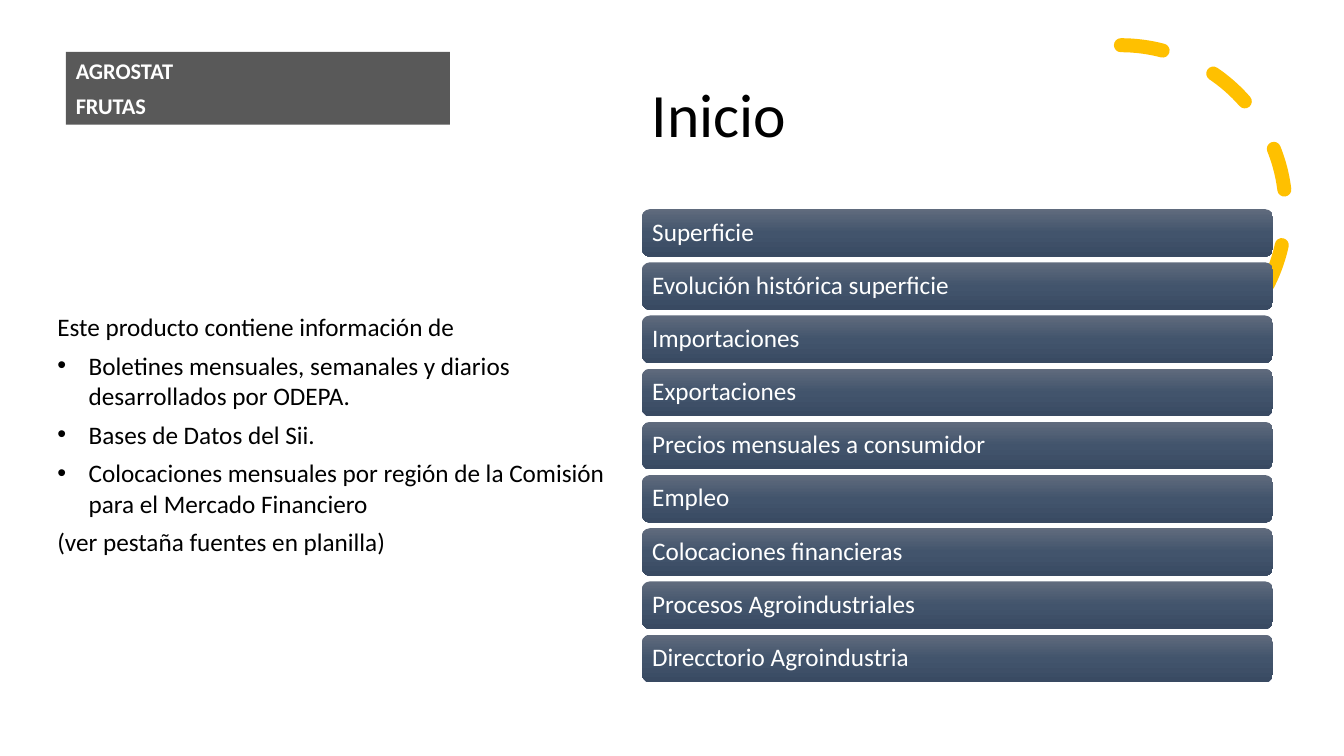
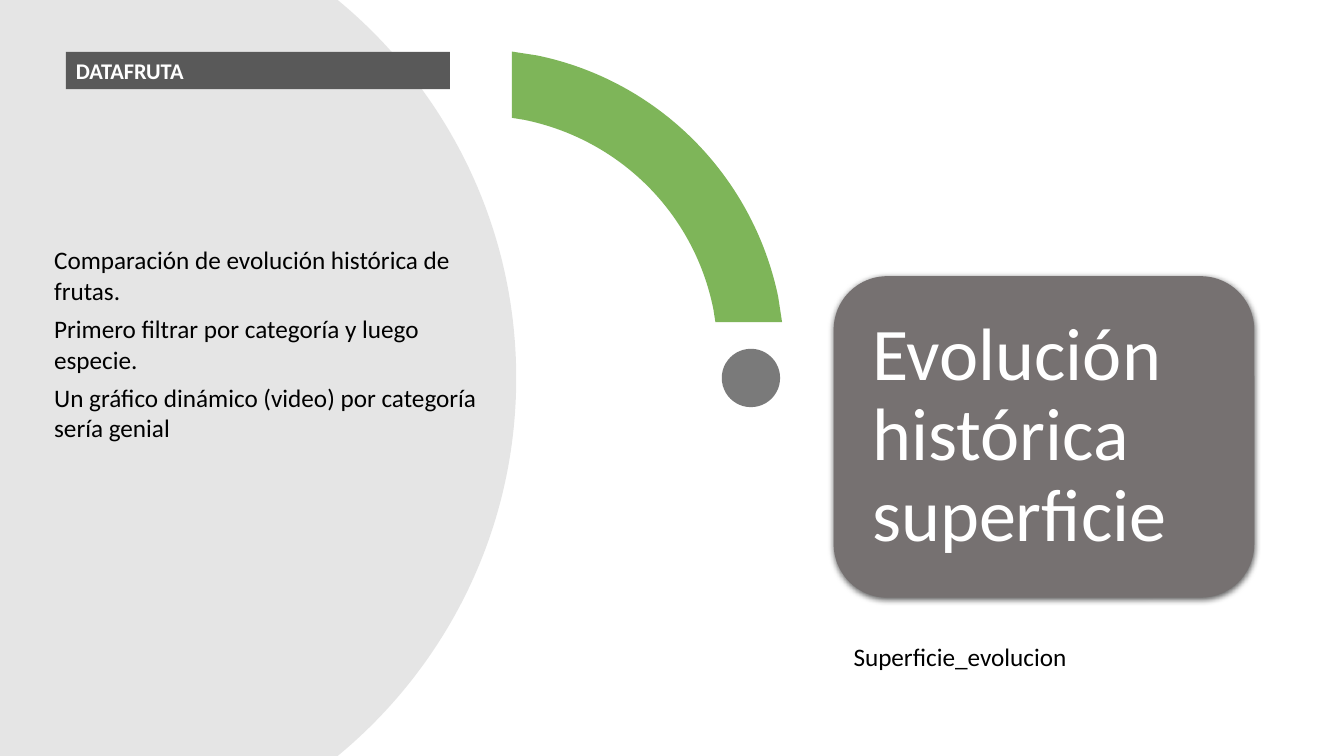
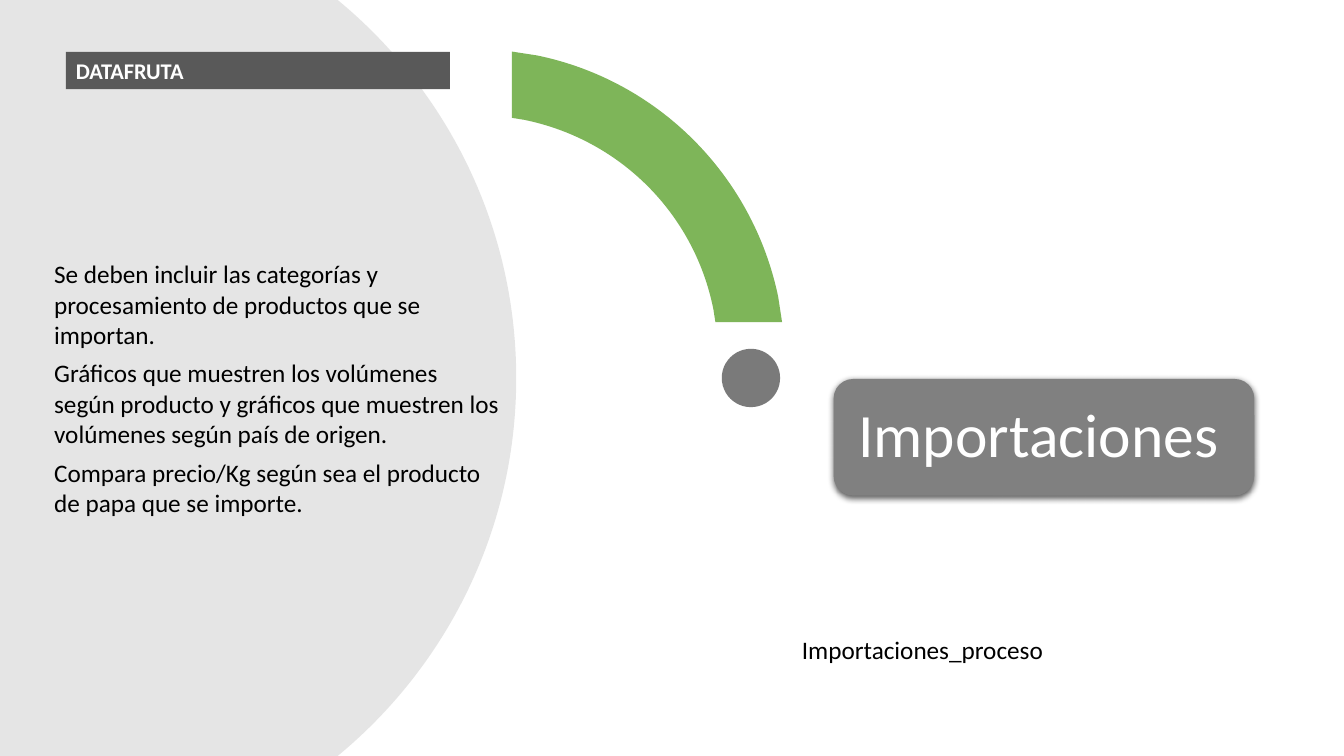
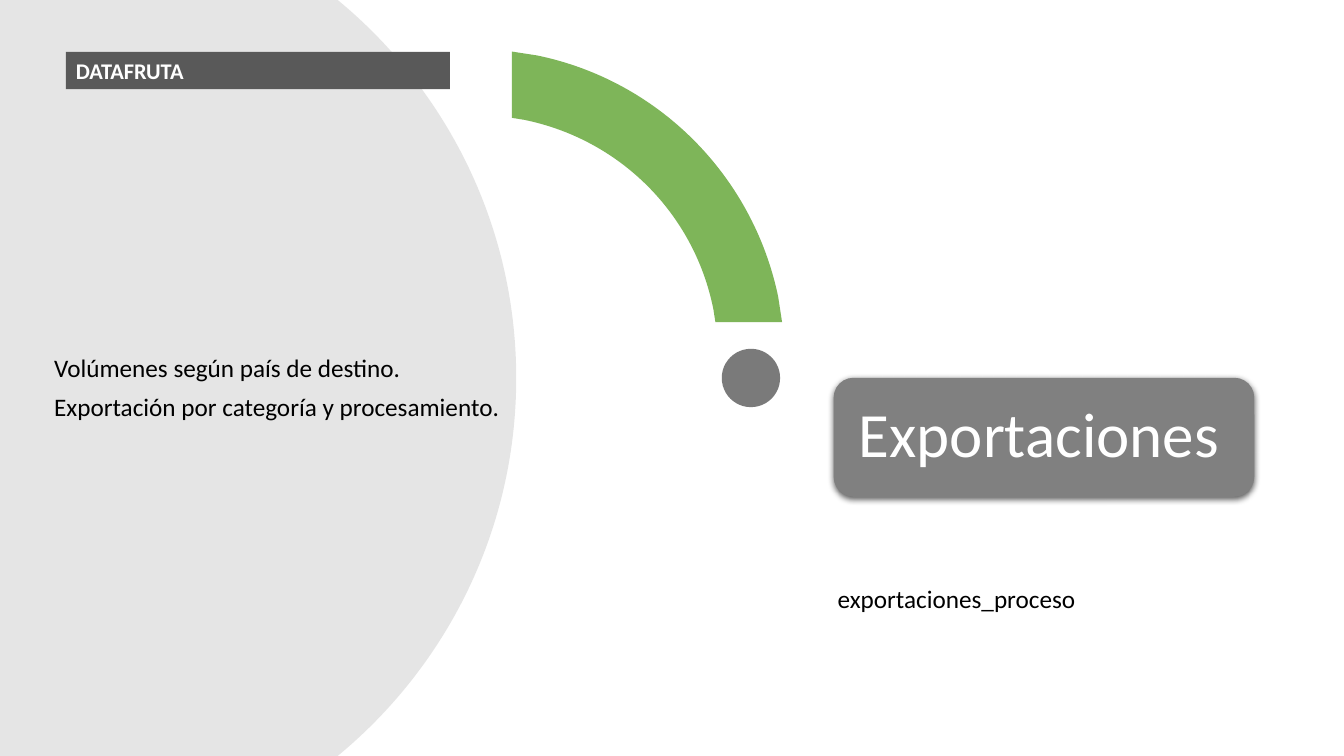
"""Build the four-slide fruit statistics deck: a menu and three section pages."""
from dataclasses import dataclass

from lxml.etree import SubElement
from pptx import Presentation
from pptx.dml.color import RGBColor
from pptx.enum.dml import MSO_LINE
from pptx.enum.shapes import MSO_SHAPE
from pptx.enum.text import MSO_ANCHOR, MSO_AUTO_SIZE, PP_ALIGN
from pptx.oxml import parse_xml
from pptx.oxml.ns import nsdecls, qn
from pptx.util import Cm, Pt

ARC, ELLIPSE = MSO_SHAPE.ARC, MSO_SHAPE.OVAL
RECTANGLE, ROUNDED = MSO_SHAPE.RECTANGLE, MSO_SHAPE.ROUNDED_RECTANGLE
TOP, MIDDLE = MSO_ANCHOR.TOP, MSO_ANCHOR.MIDDLE
LEFT, NO_AUTOFIT = PP_ALIGN.LEFT, MSO_AUTO_SIZE.NONE
DASH = MSO_LINE.DASH


@dataclass(frozen=True)
class Theme:
    font: str = "Calibri"
    text: str = "000000"
    light: str = "FFFFFF"
    dark: str = "595959"
    disc: str = "808080"
    ring: str = "70AD47"
    accent: str = "FFC000"
    bar: tuple = ((0, "606B7D"), (50, "42546C"), (100, "394A62"))
    title_size: int = 44
    body_size: int = 18
    tag_size: int = 16
    after: int = 6


THEME = Theme()

MENU = {
    "tag": ["AGROSTAT", "FRUTAS"],
    "title": "Inicio",
    "body": [
        ("", "Este producto contiene información de"),
        ("•", "Boletines mensuales, semanales y diarios desarrollados por ODEPA."),
        ("•", "Bases de Datos del Sii."),
        ("•", "Colocaciones mensuales por región de la Comisión para el Mercado Financiero"),
        ("", "(ver pestaña fuentes en planilla)"),
    ],
    "entries": [
        "Superficie",
        "Evolución histórica superficie",
        "Importaciones",
        "Exportaciones",
        "Precios mensuales a consumidor",
        "Empleo",
        "Colocaciones financieras",
        "Procesos Agroindustriales",
        "Direcctorio Agroindustria",
    ],
}

SECTION_TAG = ["DATAFRUTA"]
SECTIONS = [
    {
        "title": "Evolución histórica superficie",
        "card": {"top": 6.96, "height": 8.1, "inset": 0.97, "size": 53, "color": "767171"},
        "body": [
            ("", "Comparación de evolución histórica de frutas."),
            ("", "Primero filtrar por categoría y luego especie."),
            ("", "Un gráfico dinámico (video) por categoría sería genial"),
        ],
        "body_box": (1.11, 6.04, 11.79, 6.27),
        "source": "Superficie_evolucion",
        "source_at": (21.26, 16.04),
    },
    {
        "title": "Importaciones",
        "card": {"top": 9.55, "height": 2.94, "inset": 0.62, "size": 44, "color": "808080"},
        "body": [
            ("", "Se deben incluir las categorías y procesamiento de productos que se importan."),
            ("", "Gráficos que muestren los volúmenes según producto y gráficos que "
                 "muestren los volúmenes según país de origen."),
            ("", "Compara precio/Kg según sea el producto de papa que se importe."),
        ],
        "body_box": (1.11, 6.39, 11.79, 6.83),
        "source": "Importaciones_proceso",
        "source_at": (19.96, 15.85),
    },
    {
        "title": "Exportaciones",
        "card": {"top": 9.52, "height": 3, "inset": 0.63, "size": 45, "color": "808080"},
        "body": [
            ("", "Volúmenes según país de destino."),
            ("", "Exportación por categoría y procesamiento."),
        ],
        "body_box": (1.11, 8.75, 11.79, 3),
        "source": "exportaciones_proceso",
        "source_at": (20.86, 14.58),
    },
]

DISC = {
    "points": [(0, 0), (8.51, 0), (11.25, 2.26), (13.01, 5.69), (13.01, 9.53),
               (13.01, 13.36), (11.25, 16.79), (8.51, 19.05), (0, 19.05)],
    "curves": (2, 5),
}
RING = {
    "points": [(12.9, 1.3), (13.54, 1.4), (16.59, 2.03), (18.97, 4.42), (19.61, 7.47),
               (19.71, 8.12), (18.03, 8.12), (17.98, 7.8), (17.5, 5.38), (15.62, 3.51),
               (13.21, 3.02), (12.9, 2.97)],
    "curves": (2, 8),
}


def rgb(color):
    return RGBColor.from_string(color)


def place(shape, left, top, width, height):
    shape.left, shape.top = Cm(left), Cm(top)
    shape.width, shape.height = Cm(width), Cm(height)


def paint(shape, color, opacity=100):
    shape.shadow.inherit = False
    shape.line.fill.background()
    shape.fill.solid()
    shape.fill.fore_color.rgb = rgb(color)
    if opacity < 100:
        tint = next(shape.element.iter(qn("a:srgbClr")))
        SubElement(tint, qn("a:alpha")).set("val", str(opacity * 1000))


def write(shape, items, size, color=THEME.text, bold=False, after=0, spacing=1,
          anchor=TOP, inset=None):
    frame = shape.text_frame
    frame.word_wrap, frame.auto_size = True, NO_AUTOFIT
    frame.vertical_anchor = anchor
    if inset is not None:
        frame.margin_left = frame.margin_right = Cm(inset)
    for index, (bullet, text) in enumerate(items):
        paragraph = frame.add_paragraph() if index else frame.paragraphs[0]
        paragraph.text = text
        properties = paragraph._p.get_or_add_pPr()
        hang = Cm(0.79) if bullet else 0
        properties.set("marL", str(hang))
        properties.set("indent", str(-hang))
        if bullet:
            SubElement(properties, qn("a:buChar")).set("char", bullet)
        else:
            SubElement(properties, qn("a:buNone"))
        paragraph.alignment = LEFT
        paragraph.line_spacing = spacing
        paragraph.space_before, paragraph.space_after = Pt(0), Pt(after)
        paragraph.font.name, paragraph.font.size = THEME.font, Pt(size)
        paragraph.font.bold, paragraph.font.color.rgb = bold, rgb(color)


def add_preset(slide, kind, left, top, width, height):
    return slide.shapes.add_shape(kind, Cm(left), Cm(top), Cm(width), Cm(height))


def add_outline(slide, outline, color, opacity):
    corners = [(Cm(x), Cm(y)) for x, y in outline["points"]]
    builder = slide.shapes.build_freeform(*corners[0])
    builder.add_line_segments(corners[1:])
    shape = builder.convert_to_shape()
    segments = list(shape.element.iter(qn("a:lnTo")))
    for first in outline["curves"]:
        bend = segments[first - 1:first + 2]
        curve = parse_xml(f'<a:cubicBezTo {nsdecls("a")}/>')
        bend[0].addprevious(curve)
        for segment in bend:
            curve.append(segment[0])
            segment.getparent().remove(segment)
    paint(shape, color, opacity)


def add_tag(slide, lines):
    tag = add_preset(slide, RECTANGLE, 1.66, 1.31, 9.68, 0.94 + 0.89 * (len(lines) - 1))
    paint(tag, THEME.dark)
    write(tag, [("", line) for line in lines], THEME.tag_size, THEME.light,
          bold=True, after=THEME.after)


def add_body(slide, items, box):
    body = slide.placeholders[1]
    place(body, *box)
    write(body, items, THEME.body_size, after=THEME.after)
    body.element.getparent().append(body.element)


def add_dashed_arc(slide):
    arc = add_preset(slide, ARC, 24.1, 1.14, 8.3, 8.3)
    arc.adjustments[0], arc.adjustments[1] = 162, 25.64
    arc.shadow.inherit = False
    arc.fill.background()
    arc.line.color.rgb = rgb(THEME.accent)
    arc.line.width, arc.line.dash_style = Pt(10), DASH
    next(arc.element.iter(qn("a:ln"))).set("cap", "rnd")


def add_entries(slide, entries):
    height, gap = 1.2, 0.14
    stops = "".join(f'<a:gs pos="{position * 1000}"><a:srgbClr val="{color}"/></a:gs>'
                    for position, color in THEME.bar)
    for index, entry in enumerate(entries):
        bar = add_preset(slide, ROUNDED, 16.18, 5.27 + index * (height + gap), 15.9, height)
        paint(bar, THEME.dark)
        solid = next(bar.element.iter(qn("a:solidFill")))
        solid.getparent().replace(solid, parse_xml(
            f'<a:gradFill {nsdecls("a")} rotWithShape="1"><a:gsLst>{stops}</a:gsLst>'
            '<a:lin ang="5400000" scaled="0"/></a:gradFill>'))
        write(bar, [("", entry)], THEME.body_size, THEME.light, spacing=0.9,
              anchor=MIDDLE, inset=0.2)


def add_card(slide, title, card):
    box = (21.01, card["top"], 10.6, card["height"])
    panel = add_preset(slide, ROUNDED, *box)
    paint(panel, card["color"])
    panel.element.spPr.find(qn("a:effectLst")).append(parse_xml(
        f'<a:outerShdw {nsdecls("a")} blurRad="{Pt(4.5)}" dist="{Pt(1.5)}" dir="5400000" '
        'algn="ctr" rotWithShape="0"><a:srgbClr val="000000"><a:alpha val="63000"/>'
        '</a:srgbClr></a:outerShdw>'))
    heading = slide.shapes.title
    place(heading, *box)
    write(heading, [("", title)], card["size"], THEME.light, spacing=0.9,
          anchor=MIDDLE, inset=card["inset"])
    heading.element.getparent().append(heading.element)


def build_menu(slide):
    add_dashed_arc(slide)
    place(slide.shapes.title, 16.17, 1.13, 15.9, 3.68)
    write(slide.shapes.title, [("", MENU["title"])], THEME.title_size, spacing=0.9,
          anchor=MIDDLE)
    add_body(slide, MENU["body"], (1.19, 7.72, 15.39, 6.5))
    add_tag(slide, MENU["tag"])
    add_entries(slide, MENU["entries"])


def build_section(slide, section):
    add_outline(slide, DISC, THEME.disc, 20)
    add_outline(slide, RING, THEME.ring, 90)
    paint(add_preset(slide, ELLIPSE, 18.19, 8.79, 1.47, 1.47), THEME.dark, 80)
    add_body(slide, section["body"], section["body_box"])
    add_tag(slide, SECTION_TAG)
    add_card(slide, section["title"], section["card"])
    left, top = section["source_at"]
    source = slide.shapes.add_textbox(Cm(left), Cm(top), Cm(11.96), Cm(1.02))
    write(source, [("", section["source"])], THEME.body_size)


def main():
    deck = Presentation()
    deck.slide_width, deck.slide_height = Cm(33.87), Cm(19.05)
    layout = deck.slide_layouts[1]
    build_menu(deck.slides.add_slide(layout))
    for section in SECTIONS:
        build_section(deck.slides.add_slide(layout), section)
    deck.save("out.pptx")


if __name__ == "__main__":
    main()
